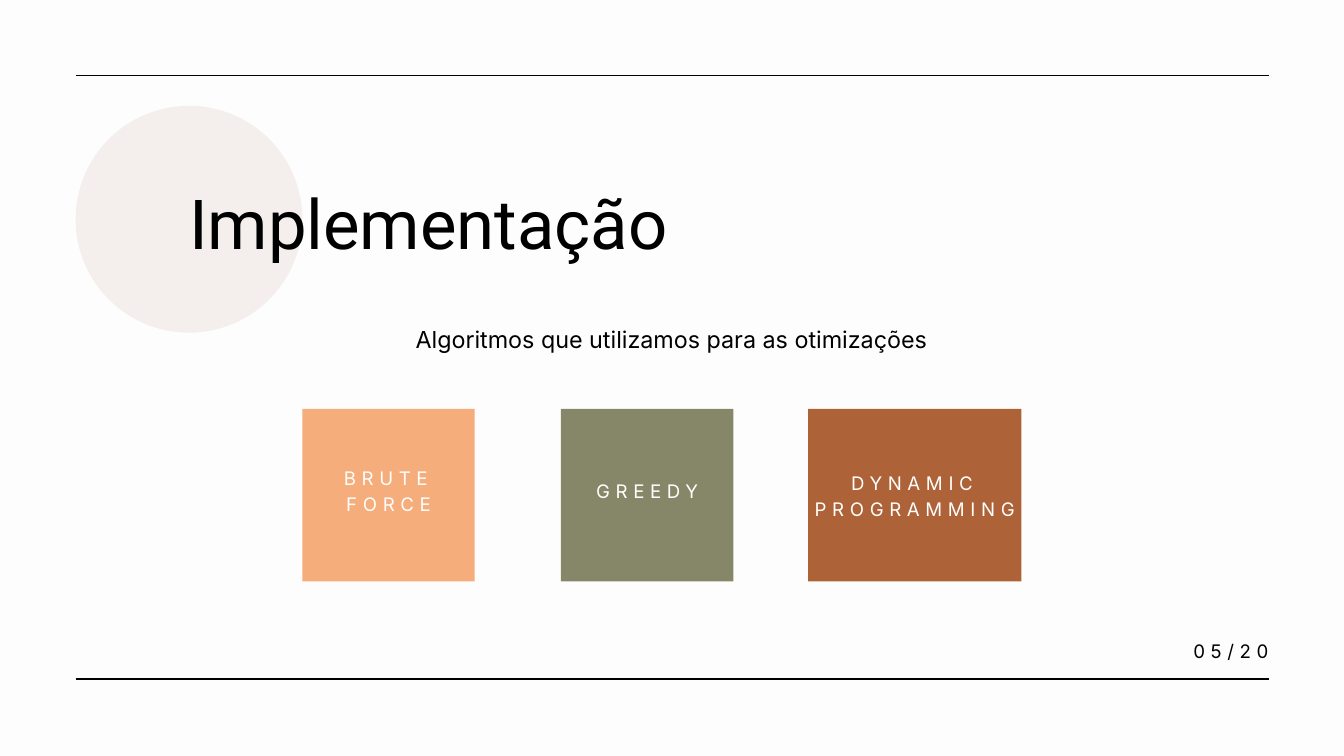
"""Build the "Implementação" slide with its three algorithm cards."""
from lxml.etree import SubElement
from pptx import Presentation
from pptx.dml.color import RGBColor
from pptx.enum.shapes import MSO_CONNECTOR as CONN, MSO_SHAPE as SHAPE
from pptx.enum.text import MSO_ANCHOR as ANCHOR, MSO_AUTO_SIZE as FIT, PP_ALIGN as AL
from pptx.oxml.ns import qn
from pptx.util import Inches, Pt

C = {"paper": "FDFDFD", "ink": "000000", "white": "FFFFFF", "blush": "F4EFED",
     "peach": "F5AD7B", "olive": "868668", "rust": "AD6237"}

prs = Presentation()
prs.slide_width, prs.slide_height = Inches(20), Inches(11.25)
U = prs.slide_height / 10
LEFT, RIGHT = 1, 16.78


def grid(*units):
    return [round(u * U) for u in units]


def write(sp, text, size, color="ink", align=AL.CENTER, font="Inter", spacing=0):
    tf = sp.text_frame
    tf.word_wrap, tf.auto_size, tf.vertical_anchor = True, FIT.NONE, ANCHOR.TOP
    tf.margin_left = tf.margin_top = tf.margin_right = tf.margin_bottom = 0
    p = tf.paragraphs[0]
    p.alignment, p.line_spacing = align, Pt(size * 1.4)
    p.font.name, p.font.size = font, Pt(size)
    p.font.color.rgb = RGBColor.from_string(C[color])
    r = p.add_run()
    r.text = text
    if spacing:
        r.font._element.set("spc", str(spacing * 100))


s = prs.slides.add_slide(prs.slide_layouts[5])
s.background.fill.solid()
s.background.fill.fore_color.rgb = RGBColor.from_string(C["paper"])

for y in (1, 8.98):
    rule = s.shapes.add_connector(CONN.STRAIGHT, *grid(LEFT, y, RIGHT, y))
    rule.line.color.rgb = RGBColor.from_string(C["ink"])
    rule.line.width = Pt(1.5)
    SubElement(rule._element.spPr, qn("a:effectLst"))

TOP, SIDE = 5.41, 2.28
blocks = [
    (SHAPE.OVAL, LEFT, 1.4, 3, 3, "blush"),
    (SHAPE.RECTANGLE, 4, TOP, SIDE, SIDE, "peach"),
    (SHAPE.RECTANGLE, 7.42, TOP, SIDE, SIDE, "olive"),
    (SHAPE.RECTANGLE, 10.69, TOP, 2.82, SIDE, "rust"),
]
for kind, x, y, w, h, color in blocks:
    sp = s.shapes.add_shape(kind, *grid(x, y, w, h))
    sp.shadow.inherit = False
    sp.fill.solid()
    sp.fill.fore_color.rgb = RGBColor.from_string(C[color])
    sp.line.fill.background()

title = s.shapes.title
title.left, title.top, title.width, title.height = grid(2.5, 2.21, 9.84, 1.24)
s.shapes._spTree.append(title._element)
write(title, "Implementação", 73.8, align=AL.LEFT, font="Roboto")

texts = [
    ("Algoritmos que utilizamos para as otimizações", 1.73, 4.24, 14.3, 0.4, 25, "ink", AL.CENTER, 0),
    ("BRUTE FORCE", 4, 6.13, SIDE, 0.68, 20, "paper", AL.CENTER, 6),
    ("GREEDY", 7.42, 6.3, SIDE, 0.34, 20, "white", AL.CENTER, 6),
    ("DYNAMIC PROGRAMMING", 10.69, 6.19, 2.82, 0.68, 20, "white", AL.CENTER, 6),
    ("05/20", RIGHT - 2.88, 8.42, 2.88, 0.34, 20, "ink", AL.RIGHT, 6),
]
for text, x, y, w, h, size, color, align, spacing in texts:
    sp = s.shapes.add_textbox(*grid(x, y, w, h))
    write(sp, text, size, color, align, spacing=spacing)

prs.save("out.pptx")
